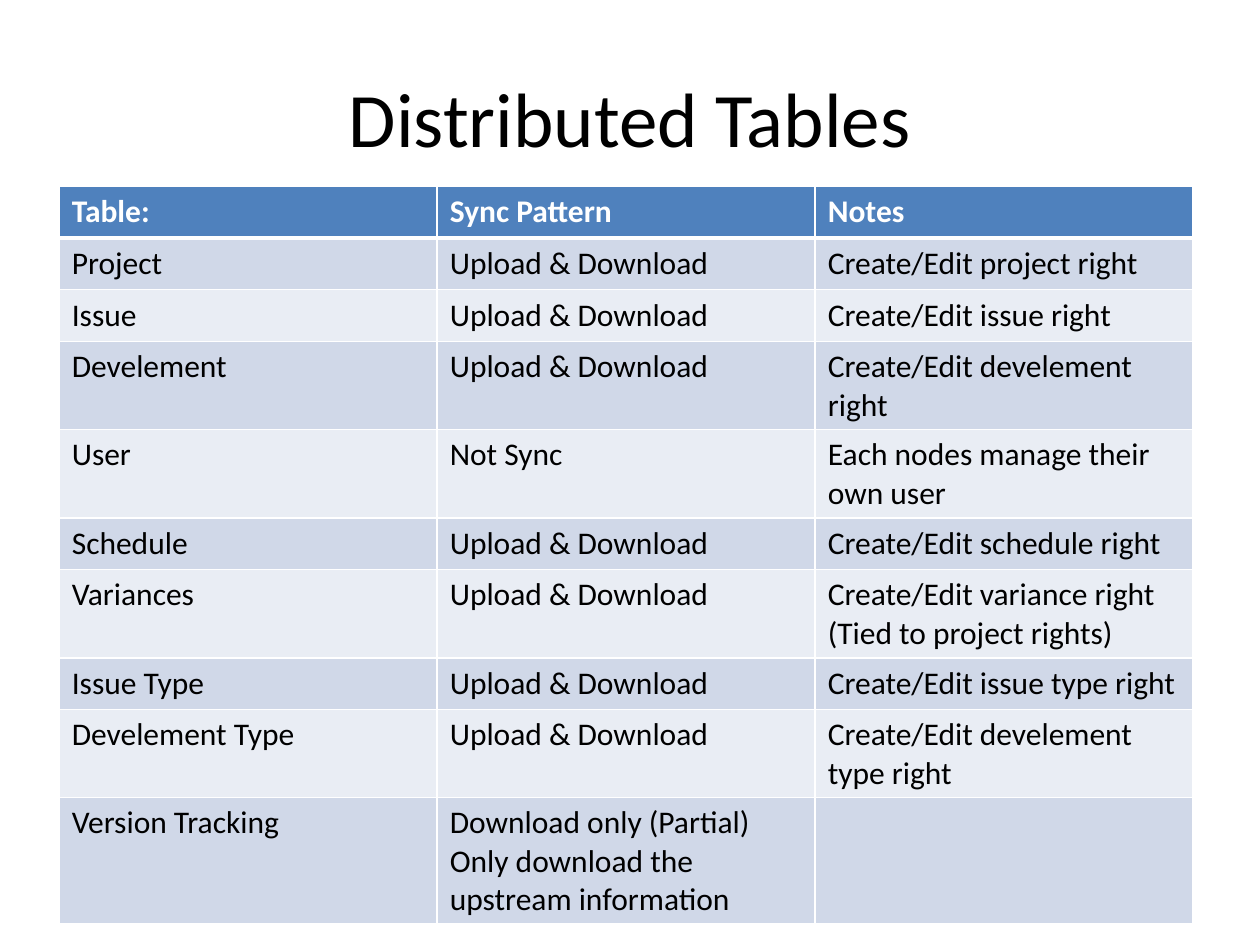
from lxml import etree
from pptx import Presentation
from pptx import util as u
from pptx.dml.color import RGBColor
from pptx.enum import text
from pptx.oxml import ns

SYNC = "Upload & Download"
HEADINGS = ("Table:", "Sync Pattern", "Notes")
SYNC_RULES = [
    ("Project", SYNC, "Create/Edit project right"),
    ("Issue", SYNC, "Create/Edit issue right"),
    ("Develement", SYNC, "Create/Edit develement right"),
    ("User", "Not Sync", "Each nodes manage their own user"),
    ("Schedule", SYNC, "Create/Edit schedule right"),
    ("Variances", SYNC, "Create/Edit variance right (Tied to project rights)"),
    ("Issue Type", SYNC, "Create/Edit issue type right"),
    ("Develement Type", SYNC, "Create/Edit develement type right"),
    ("Version Tracking",
     "Download only (Partial)\nOnly download the upstream information", ""),
]


def paint(colour_format, value):
    """Apply a hex colour."""
    colour_format.rgb = RGBColor.from_string(value)


def write(frame, words, size, colour, bold=False, align=None):
    """Fill a text frame with one paragraph per line of words."""
    frame.text = words
    for paragraph in frame.paragraphs:
        paragraph.alignment = align
        paragraph.font.name = "Calibri"
        paragraph.font.size = u.Pt(size)
        paragraph.font.bold = bold
        paint(paragraph.font.color, colour)


def rule_cell(cell, **widths):
    """Draw white borders of the given point widths on a cell."""
    properties = cell._tc.get_or_add_tcPr()
    for side in "LRTB":
        line = etree.SubElement(properties, ns.qn("a:ln" + side),
                                w=str(u.Pt(widths.get(side, 1))))
        solid = etree.SubElement(line, ns.qn("a:solidFill"))
        etree.SubElement(solid, ns.qn("a:srgbClr"), val="FFFFFF")


def add_title(slide, left, top, width, height):
    """Place the centred slide title in its box."""
    frame = slide.shapes.add_textbox(left, top, width, height).text_frame
    frame.word_wrap = True
    frame.vertical_anchor = text.MSO_ANCHOR.MIDDLE
    write(frame, "Distributed Tables", 44, "000000", align=text.PP_ALIGN.CENTER)


def add_sync_table(slide, left, top, width, row_height):
    """Place the banded table of sync rules under its heading row."""
    rows = [HEADINGS, *SYNC_RULES]
    table = slide.shapes.add_table(len(rows), len(HEADINGS), left, top, width,
                                   row_height * len(rows)).table
    for r, row in enumerate(rows):
        heading = r == 0
        band = "4F81BD" if heading else "D0D8E8" if r % 2 else "E9EDF4"
        for c, words in enumerate(row):
            cell = table.cell(r, c)
            write(cell.text_frame, words, 18,
                  "FFFFFF" if heading else "000000", bold=heading)
            rule_cell(cell, T=3 if r == 1 else 1, B=3 if heading else 1)
            cell.fill.solid()
            paint(cell.fill.fore_color, band)


def main():
    """Build and save the slide."""
    deck = Presentation()
    deck.slide_width, deck.slide_height = u.Inches(10), u.Inches(7.5)
    slide = deck.slides.add_slide(deck.slide_layouts[6])
    add_title(slide, u.Inches(0.5), u.Inches(0.3), u.Inches(9), u.Inches(1.25))
    add_sync_table(slide, u.Inches(0.47), u.Inches(1.48), u.Inches(9),
                   u.Inches(0.41))
    deck.save("out.pptx")


main()
